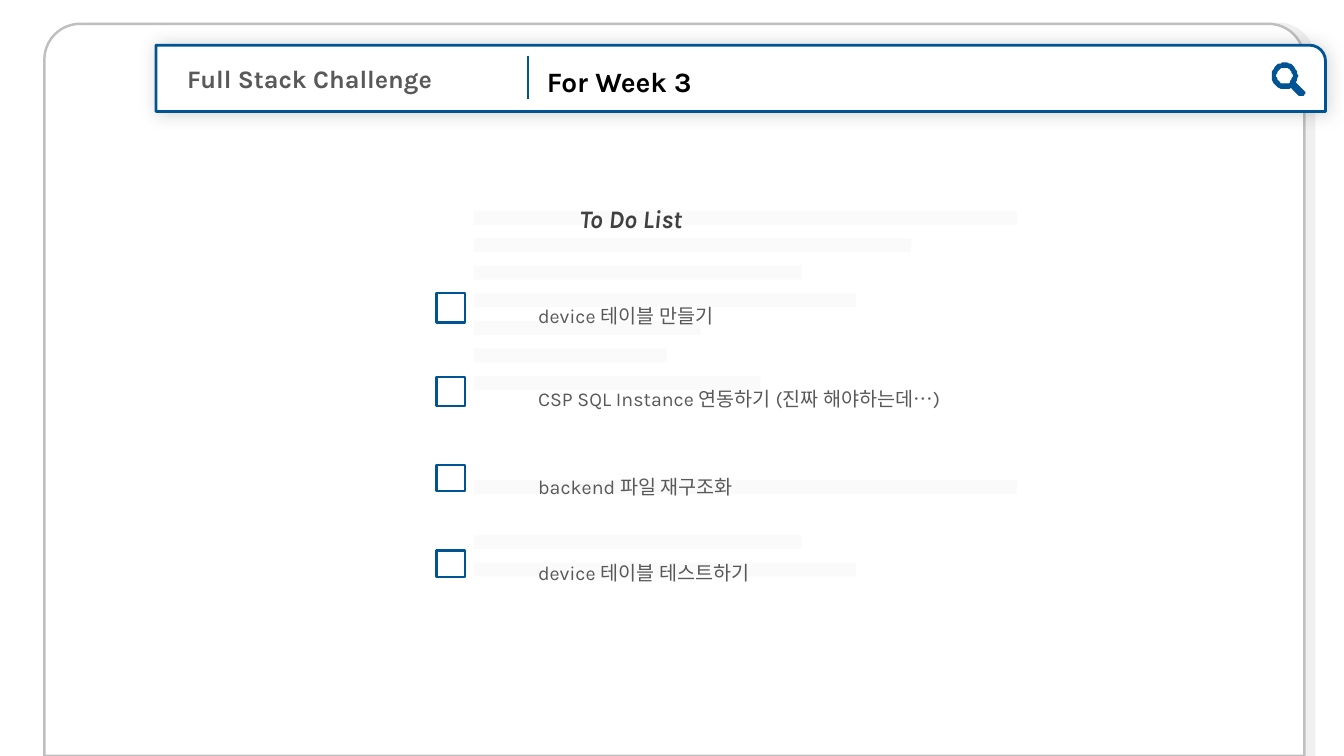
"""Build the weekly to-do slide styled as a browser page with a search bar."""
import dataclasses
import math
import typing

import lxml.etree
import pptx
import pptx.dml.color
import pptx.enum.shapes
import pptx.enum.text
import pptx.oxml.ns
import pptx.util

Pt = pptx.util.Pt
Shapes = pptx.enum.shapes.MSO_SHAPE
Align = pptx.enum.text.PP_ALIGN
Anchor = pptx.enum.text.MSO_ANCHOR
AutoSize = pptx.enum.text.MSO_AUTO_SIZE
Points = list[tuple[float, float]]


@dataclasses.dataclass(frozen=True)
class Theme:
    font: str = "Karla"
    white: str = "FFFFFF"
    black: str = "000000"
    blue: str = "005493"
    frame: str = "BFBFBF"
    body: str = "595959"
    heading: str = "404040"
    title_size: float = 20
    heading_size: float = 18
    body_size: float = 14


class Box(typing.NamedTuple):
    left: float
    top: float
    width: float
    height: float


class Shadow(typing.NamedTuple):
    opacity: int
    blur: float
    distance: float


@dataclasses.dataclass(frozen=True)
class Panel:
    preset: Shapes
    box: Box
    fill: str | None = None
    opacity: int = 100
    line: str | None = None
    line_width: float = 1.5
    corners: tuple[float, ...] = ()
    shadow: Shadow | None = None


@dataclasses.dataclass(frozen=True)
class Label:
    text: str
    size: float
    color: str
    bold: bool = False
    italic: bool = False
    spacing: float = 1.0
    align: Align = Align.LEFT


class Task(typing.NamedTuple):
    text: str
    top: float
    box_height: float


THEME = Theme()
BAR_LEFT, BAR_HEIGHT, BAR_PITCH = 338.4, 10, 19.66
BAR_GROUPS = (
    (150.5, {0: 388, 1: 312.5, 2: 234, 3: 273, 4: 162, 5: 138, 6: 205}),
    (342.7, {0: 388, 2: 234, 3: 273}),
)
TASKS = (
    Task("device 테이블 만들기", 209.5, 20.9),
    Task("CSP SQL Instance 연동하기 (진짜 해야하는데…)", 269.3, 20.9),
    Task("backend 파일 재구조화", 332, 18.9),
    Task("device 테이블 테스트하기", 393.2, 18.9),
)


def set_format(target: typing.Any, values: dict[str, typing.Any]) -> None:
    for name, value in values.items():
        setattr(target, name, value)


def rgb(color: str) -> pptx.dml.color.RGBColor:
    return pptx.dml.color.RGBColor.from_string(color)


def add_element(parent: typing.Any, tag: str, **attributes: typing.Any) -> typing.Any:
    values = {name: str(value) for name, value in attributes.items()}
    return lxml.etree.SubElement(parent, pptx.oxml.ns.qn(tag), values)


def set_line(line: typing.Any, color: str, width: float) -> None:
    line.color.rgb = rgb(color)
    line.width = Pt(width)


def draw_panel(slide: typing.Any, panel: Panel) -> typing.Any:
    shape = slide.shapes.add_shape(panel.preset, *map(Pt, panel.box))
    shape.shadow.inherit = False
    for index, value in enumerate(panel.corners):
        shape.adjustments[index] = value
    if panel.fill:
        shape.fill.solid()
        shape.fill.fore_color.rgb = rgb(panel.fill)
        if panel.opacity < 100:
            color = shape.fill._xPr.find(".//" + pptx.oxml.ns.qn("a:srgbClr"))
            add_element(color, "a:alpha", val=panel.opacity * 1000)
    else:
        shape.fill.background()
    if panel.line:
        set_line(shape.line, panel.line, panel.line_width)
    else:
        shape.line.fill.background()
    if panel.shadow:
        effects = shape._element.spPr.find(pptx.oxml.ns.qn("a:effectLst"))
        outer = add_element(effects, "a:outerShdw", blurRad=Pt(panel.shadow.blur),
                            dist=Pt(panel.shadow.distance), dir=0, algn="ctr", rotWithShape=0)
        color = add_element(outer, "a:srgbClr", val=THEME.black)
        add_element(color, "a:alpha", val=panel.shadow.opacity * 1000)
    return shape


def write_label(shape: typing.Any, label: Label, **frame_values: typing.Any) -> None:
    frame = shape.text_frame
    set_format(frame, {"word_wrap": True} | frame_values)
    paragraph = frame.paragraphs[0]
    paragraph.text = label.text
    set_format(paragraph, {"alignment": label.align, "line_spacing": label.spacing})
    font = paragraph.runs[0].font
    set_format(font, {"name": THEME.font, "size": Pt(label.size),
                      "bold": label.bold, "italic": label.italic})
    font.color.rgb = rgb(label.color)


def draw_text(slide: typing.Any, box: Box, label: Label, **frame_values: typing.Any) -> None:
    write_label(slide.shapes.add_textbox(*map(Pt, box)), label, **frame_values)


def arc(center: tuple[float, float], radius: float, start: int, end: int) -> Points:
    step = 10 if end > start else -10
    return [(center[0] + radius * math.cos(math.radians(angle)),
             center[1] + radius * math.sin(math.radians(angle)))
            for angle in range(start, end + step, step)]


def draw_magnifier(slide: typing.Any) -> None:
    lens, tip = (917.6, 54.2), (929.5, 66.3)
    outline = arc(lens, 9, 60, 390) + arc(tip, 2.2, -45, 135)
    hole = arc(lens, 6.2, 360, 0)
    builder = slide.shapes.build_freeform(*outline[0], scale=float(Pt(1)))
    builder.add_line_segments(outline[1:], close=True)
    builder.move_to(*hole[0])
    builder.add_line_segments(hole[1:], close=True)
    shape = builder.convert_to_shape()
    shape.shadow.inherit = False
    shape.fill.solid()
    shape.fill.fore_color.rgb = rgb(THEME.blue)
    set_line(shape.line, THEME.blue, 1)


def draw_search_bar(slide: typing.Any) -> None:
    bar = draw_panel(slide, Panel(
        Shapes.ROUND_1_RECTANGLE, Box(111.4, 32.3, 835.4, 47.4), THEME.white, line=THEME.blue,
        line_width=2, corners=(0.241,), shadow=Shadow(17, 13, 0)))
    write_label(bar, Label("Full Stack Challenge", THEME.heading_size, THEME.body, bold=True),
                vertical_anchor=Anchor.MIDDLE, margin_left=Pt(22.3))
    draw_magnifier(slide)
    divider = slide.shapes.add_connector(
        pptx.enum.shapes.MSO_CONNECTOR.STRAIGHT, Pt(377.2), Pt(39.8), Pt(377.2), Pt(70.7))
    set_line(divider.line, THEME.blue, 1.5)
    add_element(divider._element.spPr, "a:effectLst")
    draw_text(slide, Box(383.6, 39.8, 378.7, 40.2),
              Label("For Week 3", THEME.title_size, THEME.black, bold=True, spacing=0.9),
              vertical_anchor=Anchor.MIDDLE)


def main() -> None:
    presentation = pptx.Presentation()
    set_format(presentation, {"slide_width": Pt(960), "slide_height": Pt(540)})
    slide = presentation.slides.add_slide(presentation.slide_layouts[6])
    draw_panel(slide, Panel(
        Shapes.ROUND_2_SAME_RECTANGLE, Box(31.7, 17, 900, 523), THEME.white, line=THEME.frame,
        line_width=1.75, corners=(0.049, 0), shadow=Shadow(6, 0, 7)))
    for top, widths in BAR_GROUPS:
        for row, width in widths.items():
            box = Box(BAR_LEFT, top + row * BAR_PITCH, width, BAR_HEIGHT)
            draw_panel(slide, Panel(Shapes.RECTANGLE, box, THEME.black, opacity=2))
    draw_search_bar(slide)
    for task in TASKS:
        draw_panel(slide, Panel(
            Shapes.RECTANGLE, Box(311.8, task.top, 20.2, task.box_height), line=THEME.blue))
        draw_text(slide, Box(377.3, task.top - 4.7, 416, 30.2),
                  Label(task.text, THEME.body_size, THEME.body, spacing=1.5),
                  auto_size=AutoSize.SHAPE_TO_FIT_TEXT)
    draw_text(slide, Box(391.7, 131, 118, 37.4),
              Label("To Do List", THEME.heading_size, THEME.heading, bold=True, italic=True,
                    spacing=1.5, align=Align.CENTER),
              word_wrap=False, auto_size=AutoSize.SHAPE_TO_FIT_TEXT)
    presentation.save("out.pptx")


if __name__ == "__main__":
    main()
